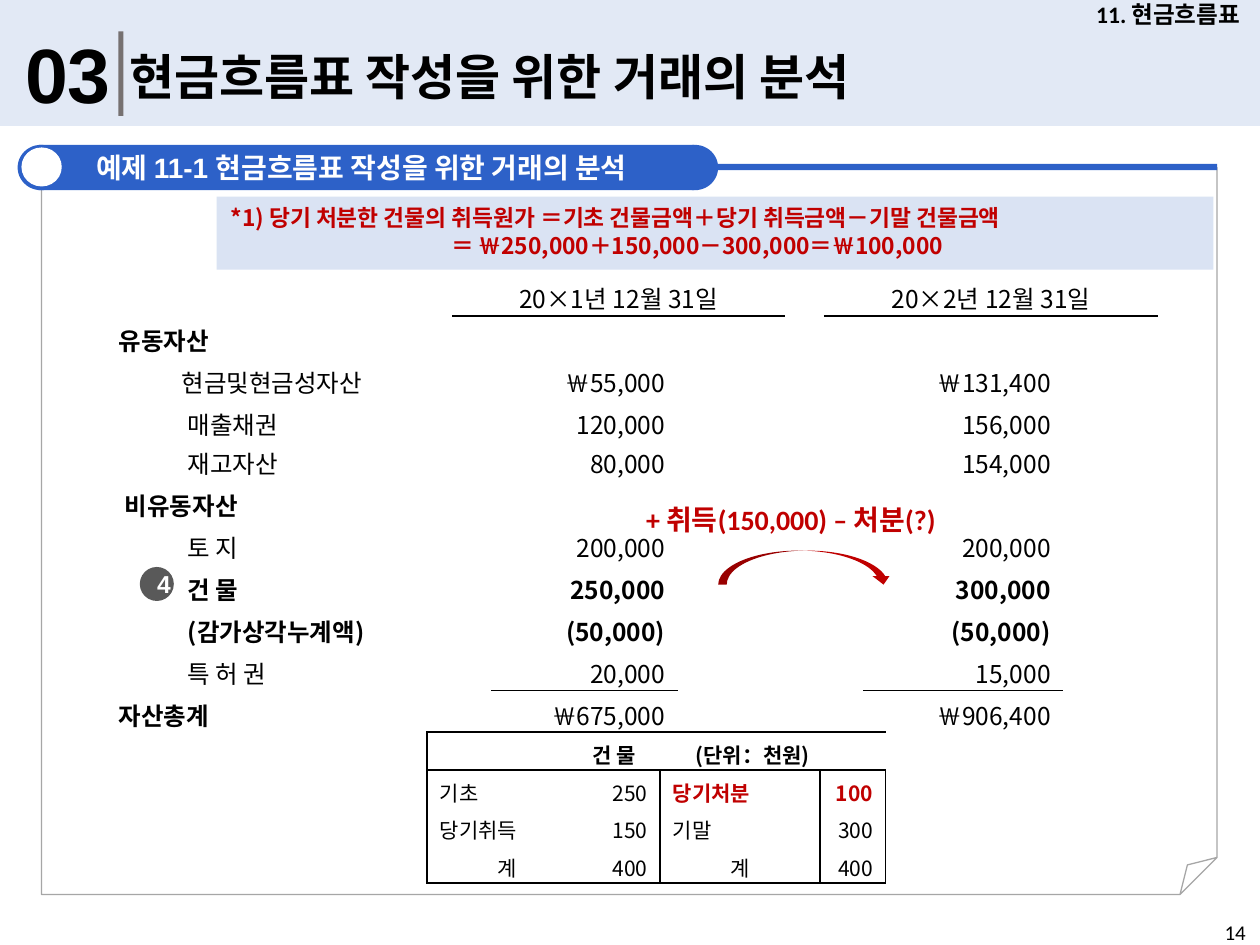
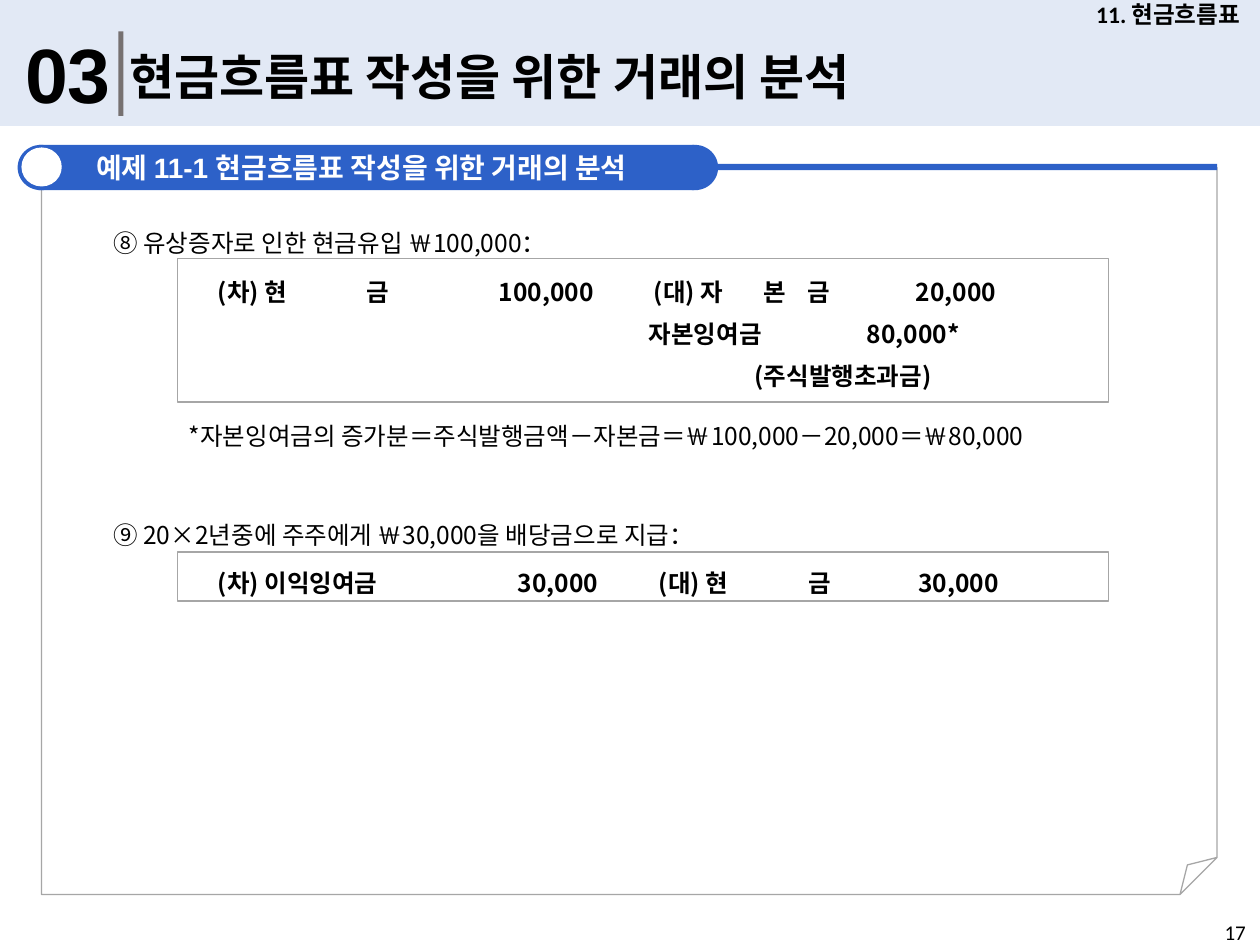
import pptx
import pptx.dml.color
import pptx.enum.shapes
import pptx.enum.text
import pptx.oxml.ns
import pptx.util
from lxml import etree

Inches = pptx.util.Inches
Pt = pptx.util.Pt
RGBColor = pptx.dml.color.RGBColor
qn = pptx.oxml.ns.qn
SHAPE = pptx.enum.shapes.MSO_SHAPE
ALIGN = pptx.enum.text.PP_ALIGN
ANCHOR = pptx.enum.text.MSO_ANCHOR

BLACK = RGBColor(0x00, 0x00, 0x00)
WHITE = RGBColor(0xFF, 0xFF, 0xFF)
RED = RGBColor(0xC0, 0x00, 0x00)
BLUE = RGBColor(0x2D, 0x61, 0xC8)
PALE_BLUE = RGBColor(0xDA, 0xE3, 0xF3)
FRAME_GRAY = RGBColor(0xA6, 0xA6, 0xA6)
BAR_GRAY = RGBColor(0x76, 0x71, 0x71)
BADGE_GRAY = RGBColor(0x59, 0x59, 0x59)
KOREAN = "Noto Sans CJK KR"
NO_STYLE_TABLE = "{2D5ABB26-0587-4C30-8999-92F81FD0307C}"

CHAPTER = "11. 현금흐름표"
SECTION_NUMBER = "03"
SECTION_TITLE = "현금흐름표 작성을 위한 거래의 분석"
EXAMPLE = [("예제 ", "Calibri"), ("11-1 현금흐름표 작성을 위한 거래의 분석", "Arial")]

# Balance sheet: label, indent, label bold, amounts bold, 20×1 amount, 20×2 amount
DATES = ("20×1년 12월 31일", "20×2년 12월 31일")
CURRENT_ROWS = [
    ("유동자산", 0, True, False, "", ""),
    ("현금및현금성자산", 0.5, False, False, "￦55,000", "￦131,400"),
    ("매출채권", 0.55, False, False, "120,000", "156,000"),
]
OTHER_ROWS = [
    ("재고자산", 0.55, False, False, "80,000", "154,000"),
    ("비유동자산", 0.05, True, False, "", ""),
    ("토 지", 0.55, False, False, "200,000", "200,000"),
    ("건 물", 0.55, True, True, "250,000", "300,000"),
    ("(감가상각누계액)", 0.55, True, True, "(50,000)", "(50,000)"),
    ("특 허 권", 0.55, False, False, "20,000", "15,000"),
    ("자산총계", 0, True, False, "￦675,000", "￦906,400"),
]
BALANCE_COLUMNS = [2.44, 0.31, 0.31, 1.48, 0.85, 0.31, 0.31, 1.59, 0.75]
BALANCE_ROW = 1 / 3
DATE_COLUMNS, AMOUNT_COLUMNS = (2, 6), (3, 7)

ACCOUNT_HEAD = [(1.21, "건 물"), (2.03, "(단위：천원)")]
ACCOUNT_ROWS = [
    ("기초", "250", "당기처분", "100"),
    ("당기취득", "150", "기말", "300"),
    ("계", "400", "계", "400"),
]
ACCOUNT_COLUMNS = [1.27, 0.58, 1.27, 0.52, 0.55]

COST_NOTE = [
    (0, "*1) 당기 처분한 건물의 취득원가 ＝기초 건물금액＋당기 취득금액－기말 건물금액"),
    (1.75, "＝ ￦250,000＋150,000－300,000＝￦100,000"),
]
CHANGE_NOTE = "+ 취득(150,000) – 처분(?)"

# Journal lines: (tab position, text) pairs
SHARE_ISSUE = [
    [(0.21, "(차) 현"), (1.39, "금"), (2.44, "100,000"), (3.67, "(대) 자"),
     (4.54, "본"), (4.89, "금"), (5.75, "20,000")],
    [(3.63, "자본잉여금"), (5.36, "80,000*")],
    [(4.47, "(주식발행초과금)")],
]
DIVIDEND = [
    [(0.21, "(차) 이익잉여금"), (2.59, "30,000"), (3.71, "(대) 현"),
     (4.9, "금"), (5.77, "30,000")],
]
STATEMENTS = [
    (0.79, 1.66, "⑧ 유상증자로 인한 현금유입 ￦100,000："),
    (1.39, 3.19, "*자본잉여금의 증가분＝주식발행금액－자본금＝￦100,000－20,000＝￦80,000"),
    (0.79, 3.98, "⑨ 20×2년중에 주주에게 ￦30,000을 배당금으로 지급："),
]


def write(para, text, size, name=KOREAN, bold=False, color=BLACK,
          align=ALIGN.LEFT, leading=None, indent=0, tabs=()):
    """Fill one paragraph; text is a string or a list of (text, font) pairs."""
    para.alignment = align
    if leading:
        para.line_spacing = Pt(leading)
    properties = para._p.get_or_add_pPr()
    if indent:
        properties.set("marL", str(Inches(indent)))
    if tabs:
        stops = etree.SubElement(properties, qn("a:tabLst"))
        for position in tabs:
            etree.SubElement(stops, qn("a:tab"), pos=str(Inches(position)), algn="l")
    for words, face in [(text, name)] if isinstance(text, str) else text:
        span = para.add_run()
        span.text = words
        for key, value in {"size": Pt(size), "bold": bold, "name": face}.items():
            setattr(span.font, key, value)
        span.font.color.rgb = color
        etree.SubElement(span._r.get_or_add_rPr(), qn("a:ea"), typeface=KOREAN)


def write_tabbed(para, pieces, **style):
    text = "".join("\t" + words for _, words in pieces)
    write(para, text, tabs=[position for position, _ in pieces], **style)


def set_frame(box, anchor=ANCHOR.TOP, insets=(0.1, 0.05, 0.1, 0.05)):
    frame = box.text_frame
    frame.word_wrap = True
    frame.vertical_anchor = anchor
    for side, inset in zip(("left", "top", "right", "bottom"), insets):
        setattr(frame, "margin_" + side, Inches(inset))
    return frame


def add_text(page, at, text, insets=(0.1, 0.05, 0.1, 0.05), anchor=ANCHOR.TOP, **style):
    box = page.shapes.add_textbox(*map(Inches, at))
    write(set_frame(box, anchor, insets).paragraphs[0], text, **style)


def add_shape(page, kind, at, fill=None, line=None):
    shape = page.shapes.add_shape(kind, *map(Inches, at))
    shape.shadow.inherit = False
    if fill is None:
        shape.fill.background()
    else:
        shape.fill.solid()
        shape.fill.fore_color.rgb = fill
    if line is None:
        shape.line.fill.background()
    else:
        shape.line.color.rgb = line
        shape.line.width = Pt(0.75)
    return shape


def add_table(page, left, top, columns, row_count, row_height):
    at = (left, top, sum(columns), row_count * row_height)
    table = page.shapes.add_table(row_count, len(columns), *map(Inches, at)).table
    table.first_row = table.horz_banding = False
    table._tbl.tblPr.find(qn("a:tableStyleId")).text = NO_STYLE_TABLE
    for column, width in zip(table.columns, columns):
        column.width = Inches(width)
    for row in table.rows:
        row.height = Inches(row_height)
    for cell in table.iter_cells():
        cell.fill.background()
        cell.margin_left = cell.margin_right = Inches(0.1)
        cell.margin_top, cell.margin_bottom = Inches(0.05), 0
        etree.SubElement(cell.text_frame.paragraphs[0]._p, qn("a:endParaRPr"), sz="1200")
    return table


def draw_borders(cell, sides):
    """Draw 1 pt black borders; sides is a subset of "LRTB" in that order."""
    properties = cell._tc.get_or_add_tcPr()
    for place, side in enumerate(sides):
        line = etree.Element(qn("a:ln" + side), w=str(Pt(1)))
        fill = etree.SubElement(line, qn("a:solidFill"))
        etree.SubElement(fill, qn("a:srgbClr"), val=str(BLACK))
        properties.insert(place, line)


def start_page(deck, number):
    """Add a page with the band, titles, example frame and page number."""
    page = deck.slides.add_slide(deck.slide_layouts[6])
    band = add_shape(page, SHAPE.RECTANGLE, (0, 0, 10, 1), PALE_BLUE)
    tint = band._element.spPr.find(qn("a:solidFill")).find(qn("a:srgbClr"))
    etree.SubElement(tint, qn("a:alpha"), val="76000")
    add_text(page, (0.1, 0.16, 0.91, 0.84), SECTION_NUMBER, size=44, name="Arial", bold=True)
    add_shape(page, SHAPE.RECTANGLE, (0.94, 0.25, 0.04, 0.67), BAR_GRAY)
    add_text(page, (0.93, 0.32, 7.85, 0.57), SECTION_TITLE, size=28, name="Calibri", bold=True)
    add_text(page, (8.54, 0, 1.46, 0.23), CHAPTER, anchor=ANCHOR.MIDDLE,
             size=13.5, name="Calibri", bold=True, align=ALIGN.CENTER)

    sheet = add_shape(page, SHAPE.FOLDED_CORNER, (0.33, 1.33, 9.33, 5.77), line=FRAME_GRAY)
    guides = sheet._element.spPr.find(qn("a:prstGeom")).get_or_add_avLst()
    etree.SubElement(guides, qn("a:gd"), name="adj", fmla="val 5100")
    add_shape(page, SHAPE.RECTANGLE, (0.33, 1.3, 9.33, 0.05), BLUE)
    for left in (0.14, 5.33):
        add_shape(page, SHAPE.OVAL, (left, 1.15, 0.37, 0.36), BLUE)
    heading = add_shape(page, SHAPE.RECTANGLE, (0.31, 1.15, 5.2, 0.36), BLUE)
    frame = set_frame(heading, ANCHOR.MIDDLE, (0.1, 0.05, 0.18, 0.05))
    write(frame.paragraphs[0], EXAMPLE, 16, bold=True, color=WHITE, align=ALIGN.CENTER)
    add_shape(page, SHAPE.OVAL, (0.17, 1.17, 0.32, 0.31), WHITE)
    add_text(page, (9.62, 7.25, 0.38, 0.25), str(number), (0.1, 0.05, 0, 0),
             size=12, name="Calibri")
    return page


def fill_balance(table, rows, first):
    for index, (label, indent, label_bold, amount_bold, *amounts) in enumerate(rows, first):
        write(table.cell(index, 0).text_frame.paragraphs[0], label, 14,
              bold=label_bold, indent=indent, align=ALIGN.JUSTIFY)
        for column, amount in zip(AMOUNT_COLUMNS, amounts):
            if amount:
                write(table.cell(index, column).text_frame.paragraphs[0], amount, 14,
                      bold=amount_bold, align=ALIGN.RIGHT)


def add_balance_sheet(page):
    upper = add_table(page, 0.84, 1.84, BALANCE_COLUMNS, len(CURRENT_ROWS) + 2, BALANCE_ROW)
    upper.cell(0, 0).merge(upper.cell(0, len(BALANCE_COLUMNS) - 1))
    for column, date in zip(DATE_COLUMNS, DATES):
        upper.cell(1, column).merge(upper.cell(1, column + 2))
        write(upper.cell(1, column).text_frame.paragraphs[0], date, 14, align=ALIGN.CENTER)
        for offset in range(3):
            draw_borders(upper.cell(1, column + offset), "B")
    fill_balance(upper, CURRENT_ROWS, 2)

    lower = add_table(page, 0.84, 3.48, BALANCE_COLUMNS, len(OTHER_ROWS), BALANCE_ROW)
    fill_balance(lower, OTHER_ROWS, 0)
    for column in AMOUNT_COLUMNS:
        draw_borders(lower.cell(len(OTHER_ROWS) - 2, column), "B")


def add_building_account(page):
    table = add_table(page, 3.39, 5.81, ACCOUNT_COLUMNS, len(ACCOUNT_ROWS) + 1, 0.3)
    table.cell(0, 0).merge(table.cell(0, 3))
    write_tabbed(table.cell(0, 0).text_frame.paragraphs[0], ACCOUNT_HEAD, size=12, bold=True)
    for column in range(4):
        draw_borders(table.cell(0, column), {0: "LTB", 3: "RTB"}.get(column, "TB"))
    for index, row in enumerate(ACCOUNT_ROWS, 1):
        for column, text in enumerate(row):
            cell = table.cell(index, column)
            disposal = index == 1 and column >= 2
            align = ALIGN.RIGHT if column % 2 else ALIGN.JUSTIFY
            if text == "계":
                align = ALIGN.CENTER
            write(cell.text_frame.paragraphs[0], text, 12, bold=disposal,
                  color=RED if disposal else BLACK, align=align)
            last = "B" if index == len(ACCOUNT_ROWS) else ""
            draw_borders(cell, ("R" if column % 2 else "L") + last)
    for cell in table.iter_cells():
        cell.vertical_anchor = ANCHOR.MIDDLE


def build_analysis(deck):
    page = start_page(deck, 14)
    add_balance_sheet(page)
    badge = add_shape(page, SHAPE.OVAL, (1.11, 4.5, 0.27, 0.27), BADGE_GRAY)
    write(set_frame(badge, ANCHOR.MIDDLE, (0.1, 0, 0, 0)).paragraphs[0], "4", 14,
          name="Arial", bold=True, color=WHITE, align=ALIGN.CENTER)
    add_text(page, (5.03, 3.94, 2.9, 0.37), CHANGE_NOTE,
             size=16, name="Calibri", bold=True, color=RED)
    add_shape(page, SHAPE.CURVED_DOWN_ARROW, (5.7, 4.37, 1.38, 0.27), RED)
    add_building_account(page)
    note = add_shape(page, SHAPE.RECTANGLE, (1.72, 1.56, 7.91, 0.58), PALE_BLUE)
    frame = set_frame(note, insets=(0.11, 0.05, 0.11, 0.05))
    for index, (indent, text) in enumerate(COST_NOTE):
        para = frame.add_paragraph() if index else frame.paragraphs[0]
        write(para, text, 13, bold=True, color=RED, leading=16, indent=indent)


def add_journal(page, top, height, lines, anchor):
    box = add_shape(page, SHAPE.RECTANGLE, (1.41, top, 7.39, height), WHITE, FRAME_GRAY)
    frame = set_frame(box, anchor, (0.11, 0.05, 0.11, 0.05))
    for index, pieces in enumerate(lines):
        para = frame.add_paragraph() if index else frame.paragraphs[0]
        write_tabbed(para, pieces, size=14, bold=True, leading=24)


def build_entries(deck):
    page = start_page(deck, 17)
    for left, top, text in STATEMENTS:
        add_text(page, (left, top, 8.5, 0.39), text, (0.11, 0.05, 0.11, 0.05),
                 size=14, leading=24)
    add_journal(page, 2.05, 1.14, SHARE_ISSUE, ANCHOR.TOP)
    add_journal(page, 4.38, 0.39, DIVIDEND, ANCHOR.MIDDLE)


def main():
    deck = pptx.Presentation()
    deck.slide_width, deck.slide_height = Inches(10), Inches(7.5)
    build_analysis(deck)
    build_entries(deck)
    deck.save("out.pptx")


if __name__ == "__main__":
    main()
